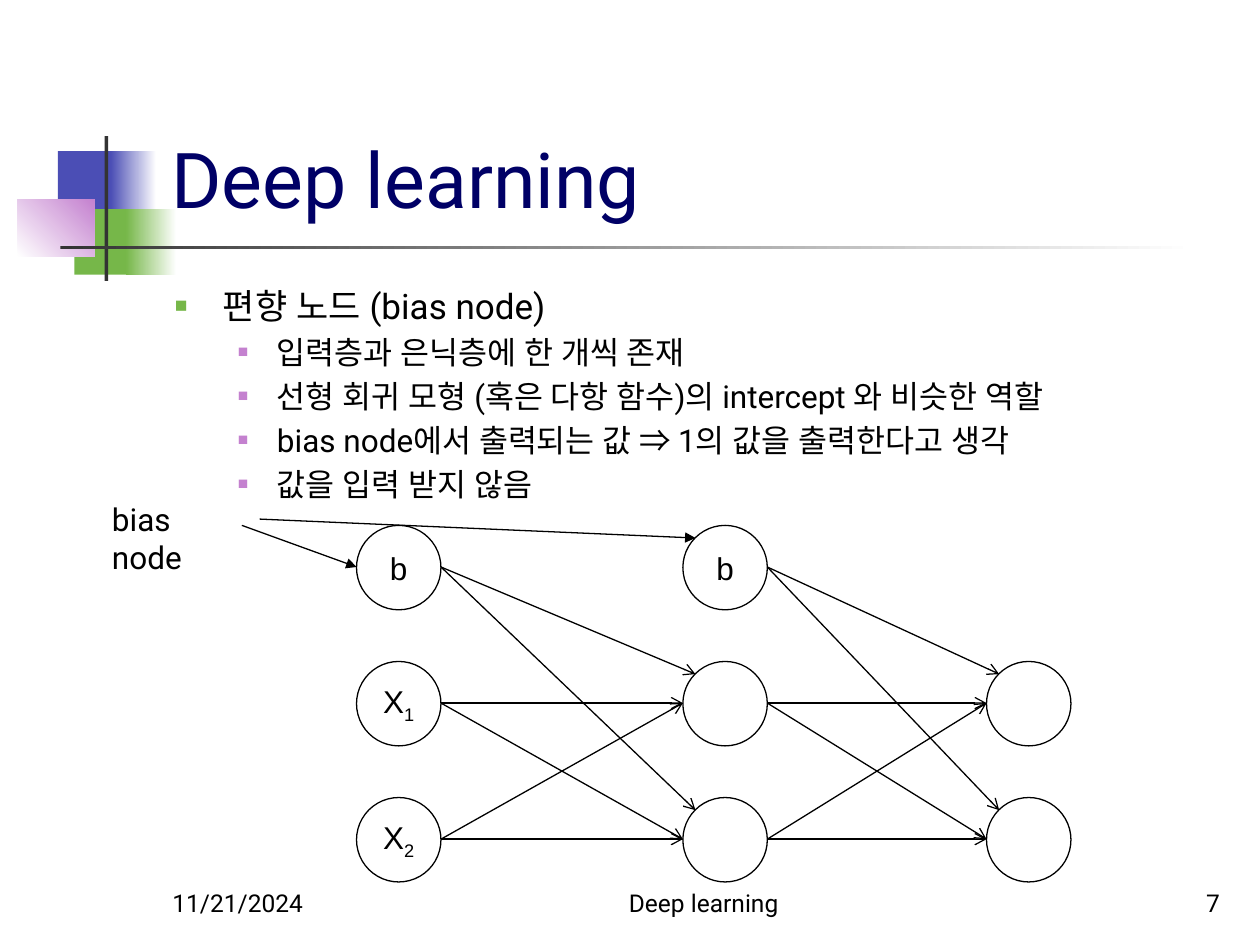
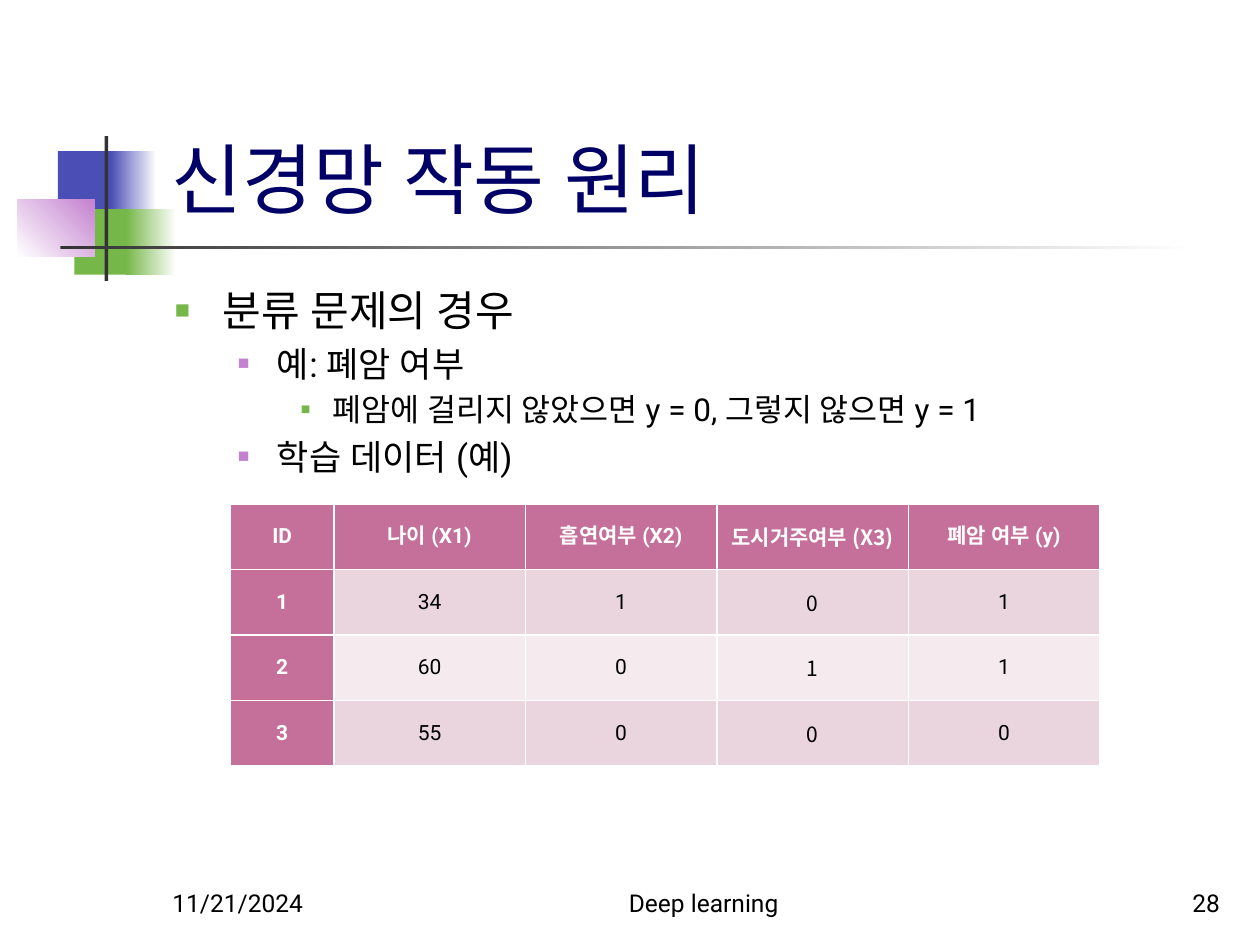
from dataclasses import dataclass

from lxml import etree
from pptx import Presentation
from pptx.dml.color import RGBColor
from pptx.enum.shapes import MSO_CONNECTOR, MSO_SHAPE
from pptx.enum.text import MSO_ANCHOR, PP_ALIGN
from pptx.oxml.ns import qn
from pptx.util import Inches, Pt

RECT, OVAL = MSO_SHAPE.RECTANGLE, MSO_SHAPE.OVAL
STRAIGHT = MSO_CONNECTOR.STRAIGHT
LEFT, CENTER, RIGHT = PP_ALIGN.LEFT, PP_ALIGN.CENTER, PP_ALIGN.RIGHT
TOP, MIDDLE, BOTTOM = MSO_ANCHOR.TOP, MSO_ANCHOR.MIDDLE, MSO_ANCHOR.BOTTOM


@dataclass(frozen=True)
class Theme:
    font: str = "Roboto"
    cjk: str = "Noto Sans CJK KR"
    plain: str = "Arial"
    black: str = "000000"
    white: str = "FFFFFF"
    title: str = "000066"
    blue: str = "4B4EB5"
    green: str = "76B749"
    violet: str = "C481CF"
    bar: str = "333333"
    table_head: str = "C4709A"
    bands: tuple = ("EAD5DE", "F5EBEF")
    title_size: int = 44
    large_size: int = 24
    medium_size: int = 20
    text_size: int = 18
    footer_size: int = 14
    table_size: int = 12


THEME = Theme()
LEVELS = (
    (0.38, 0.38, THEME.green, 60),
    (0.81, 0.31, THEME.violet, 55),
    (1.25, 0.25, THEME.green, 50),
)
DECORATION = (
    (0.46, 1.2, 0.48, 0.52, (THEME.blue,), 0),
    (0.88, 1.2, 0.36, 0.52, (THEME.blue, THEME.white), 0),
    (0.59, 1.66, 0.46, 0.52, (THEME.green,), 0),
    (1, 1.66, 0.4, 0.52, (THEME.green, THEME.white), 0),
    (0.14, 1.58, 0.61, 0.46, (THEME.white, THEME.violet), 45),
    (0.83, 1.08, 0.03, 1.15, (THEME.bar,), 0),
    (0.48, 1.95, 9, 0.03, (THEME.bar, THEME.white), 0),
)


def rgb(color):
    return RGBColor.from_string(color)


def add_xml(parent, tag, **attrs):
    return etree.SubElement(parent, qn(tag), attrs)


def set_face(font, name):
    font.name = name
    add_xml(font._rPr, "a:ea", typeface=name)


def set_font(p, size, color=THEME.black, name=THEME.font, bold=None):
    p.font.size = Pt(size)
    p.font.bold = bold
    p.font.color.rgb = rgb(color)
    set_face(p.font, name)


class Deck:
    def __init__(self, theme):
        self.theme = theme
        self.prs = Presentation()
        self.prs.slide_width, self.prs.slide_height = Inches(10), Inches(7.5)
        self.slide = None

    def new_slide(self, title, number):
        t = self.theme
        self.slide = self.prs.slides.add_slide(self.prs.slide_layouts[5])
        for x, y, w, h, colors, angle in DECORATION:
            self.band(x, y, w, h, colors, angle)
        sp = self.slide.shapes.title
        sp.left, sp.top, sp.width, sp.height = map(Inches, (1.26, 0.23, 8.52, 1.6))
        tf = sp.text_frame
        tf.text = title
        tf.vertical_anchor = BOTTOM
        tf.paragraphs[0].alignment = LEFT
        set_font(tf.paragraphs[0], t.title_size, t.title)
        for x, w, text, align in (
            (1.27, 2.08, "11/21/2024", LEFT),
            (4, 3.17, "Deep learning", CENTER),
            (7.7, 2.08, number, RIGHT),
        ):
            self.text(x, 6.83, w, 0.5, text, t.footer_size, align, BOTTOM)

    def band(self, x, y, w, h, colors, angle):
        sp = self.slide.shapes.add_shape(RECT, *map(Inches, (x, y, w, h)))
        sp.shadow.inherit = False
        sp.line.fill.background()
        if len(colors) == 1:
            sp.fill.solid()
            sp.fill.fore_color.rgb = rgb(colors[0])
            return
        sp.fill.gradient()
        sp.fill.gradient_angle = angle
        for stop, color in zip(sp.fill.gradient_stops, colors):
            stop.color.rgb = rgb(color)

    def text_frame(self, x, y, w, h, anchor=TOP):
        tf = self.slide.shapes.add_textbox(*map(Inches, (x, y, w, h))).text_frame
        tf.word_wrap = True
        tf.vertical_anchor = anchor
        return tf

    def text(self, x, y, w, h, text, size, align=LEFT, anchor=TOP):
        p = self.text_frame(x, y, w, h, anchor).paragraphs[0]
        p.text = text
        p.alignment = align
        set_font(p, size)

    def bullets(self, items):
        tf = self.text_frame(1.29, 2.21, 8.5, 4.5)
        for i, (level, size, *parts) in enumerate(items):
            p = tf.add_paragraph() if i else tf.paragraphs[0]
            margin, hang, color, percent = LEVELS[level]
            p.level = level
            p.space_before = Pt(size * 0.2)
            pPr = p._p.get_or_add_pPr()
            pPr.set("marL", str(Inches(margin)))
            pPr.set("indent", str(-Inches(hang)))
            add_xml(add_xml(pPr, "a:buClr"), "a:srgbClr", val=color)
            add_xml(pPr, "a:buSzPct", val=str(percent * 1000))
            add_xml(pPr, "a:buFont", typeface=self.theme.plain)
            add_xml(pPr, "a:buChar", char="■")
            set_font(p, size)
            for part in parts:
                r = p.add_run()
                r.text = part
                if part.startswith("⇒"):
                    set_face(r.font, self.theme.cjk)

    def node(self, x, y, d, label="", index=""):
        t = self.theme
        sp = self.slide.shapes.add_shape(OVAL, *map(Inches, (x, y, d, d)))
        sp.shadow.inherit = False
        sp.fill.background()
        sp.line.color.rgb = rgb(t.black)
        sp.line.width = Pt(0.75)
        if not label:
            return
        tf = sp.text_frame
        tf.word_wrap = False
        tf.vertical_anchor = MIDDLE
        p = tf.paragraphs[0]
        p.alignment = CENTER
        set_font(p, t.text_size, name=t.plain)
        p.add_run().text = label
        if index:
            r = p.add_run()
            r.text = index
            r.font._rPr.set("baseline", "-25000")

    def arrow(self, start, end, head="arrow"):
        cx = self.slide.shapes.add_connector(STRAIGHT, *map(Inches, (*start, *end)))
        cx.line.color.rgb = rgb(self.theme.black)
        cx.line.width = Pt(0.75)
        add_xml(cx.line._get_or_add_ln(), "a:tailEnd", type=head)
        add_xml(cx._element.spPr, "a:effectLst")

    def table(self, x, y, widths, row_height, rows, cjk_col):
        t = self.theme
        size = (sum(widths), row_height * len(rows))
        table = self.slide.shapes.add_table(
            len(rows), len(widths), *map(Inches, (x, y, *size))).table
        table.first_col = True
        table.horz_banding = False
        for column, width in zip(table.columns, widths):
            column.width = Inches(width)
        for i, row in enumerate(rows):
            table.rows[i].height = Inches(row_height)
            for j, value in enumerate(row):
                head = i == 0 or j == 0
                cell = table.cell(i, j)
                cell.fill.solid()
                cell.fill.fore_color.rgb = rgb(t.table_head if head else t.bands[(i - 1) % 2])
                cell.vertical_anchor = MIDDLE
                cell.margin_left = cell.margin_right = Inches(0.07)
                cell.margin_top = cell.margin_bottom = 0
                p = cell.text_frame.paragraphs[0]
                p.text = value
                p.alignment = CENTER
                p.space_before = p.space_after = Pt(8)
                set_font(p, t.table_size, t.white if head else t.black,
                         t.cjk if j == cjk_col else t.font, head)


def draw_network(deck):
    d, r = 0.67, 0.33
    columns = (2.83, 5.42, 7.83)
    bias_y, *unit_ys = (4.17 + 1.08 * i for i in range(3))
    corner = 0.1

    deck.text(0.79, 3.92, 1.25, 0.4, "bias node", THEME.text_size)
    for x in columns[:2]:
        deck.node(x, bias_y, d, "b")
    for i, x in enumerate(columns):
        for n, y in enumerate(unit_ys, 1):
            deck.node(x, y, d, *(("X", str(n)) if i == 0 else ()))
    for x, next_x in zip(columns, columns[1:]):
        for end_y in unit_ys:
            deck.arrow((x + d, bias_y + r), (next_x + corner, end_y + corner))
            for start_y in unit_ys:
                deck.arrow((x + d, start_y + r), (next_x, end_y + r))
    deck.arrow((1.92, 4.17), (columns[0], bias_y + r), "triangle")
    deck.arrow((2.06, 4.12), (columns[1] + corner, bias_y + corner), "triangle")


def main():
    deck = Deck(THEME)
    large, medium, small = THEME.large_size, THEME.medium_size, THEME.text_size

    deck.new_slide("Deep learning", "7")
    deck.bullets((
        (0, medium, "편향 노드 (bias node)"),
        (1, small, "입력층과 은닉층에 한 개씩 존재"),
        (1, small, "선형 회귀 모형 (혹은 다항 함수)의 intercept 와 비슷한 역할"),
        (1, small, "bias node에서 출력되는 값 ", "⇒ ", "1의 값을 출력한다고 생각"),
        (1, small, "값을 입력 받지 않음"),
    ))
    draw_network(deck)

    deck.new_slide("신경망 작동 원리", "28")
    deck.bullets((
        (0, large, "분류 문제의 경우"),
        (1, medium, "예: 폐암 여부"),
        (2, small, "폐암에 걸리지 않았으면 y = 0, 그렇지 않으면 y = 1"),
        (1, medium, "학습 데이터 (예)"),
    ))
    deck.table(1.83, 4, (0.82,) + (1.52,) * 4, 0.52, (
        ("ID", "나이 (X1)", "흡연여부 (X2)", "도시거주여부 (X3)", "폐암 여부 (y)"),
        ("1", "34", "1", "0", "1"),
        ("2", "60", "0", "1", "1"),
        ("3", "55", "0", "0", "0"),
    ), cjk_col=3)

    deck.prs.save("out.pptx")


if __name__ == "__main__":
    main()
